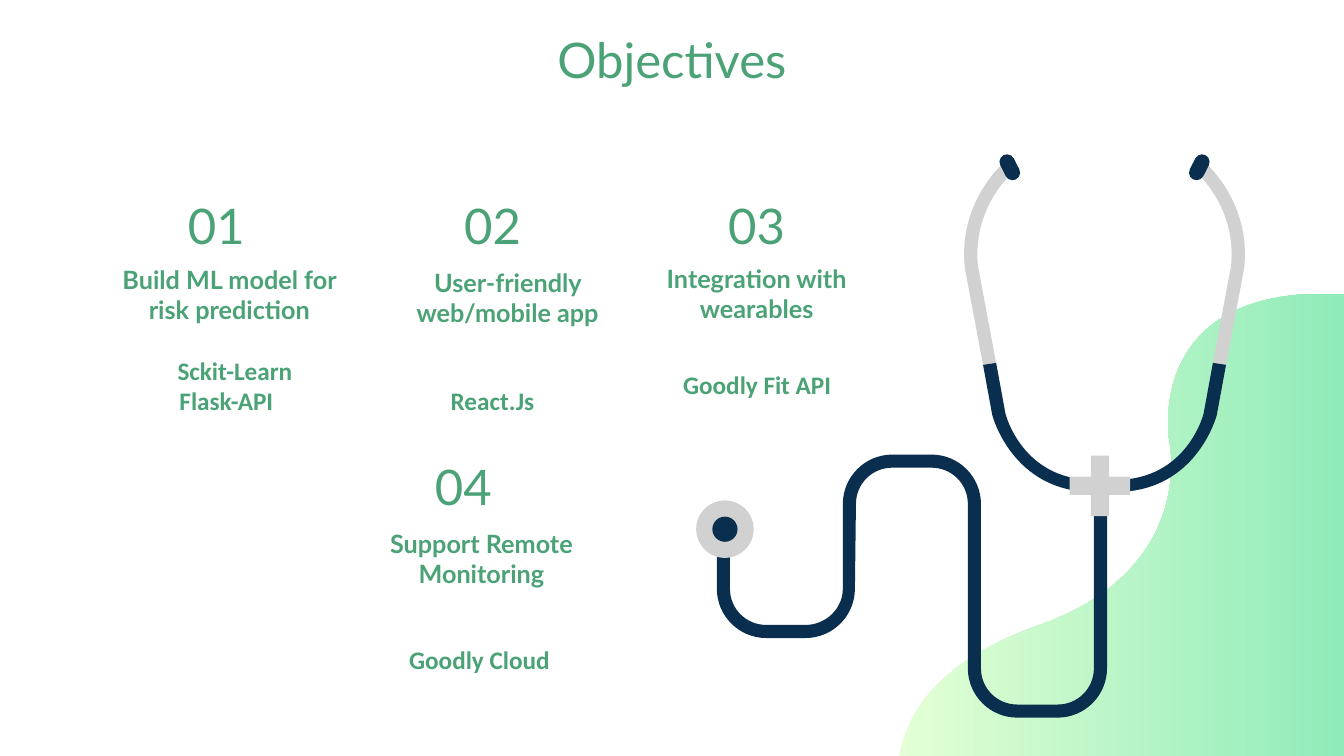
import lxml.etree
import pptx
import pptx.util
import pptx.dml.color
import pptx.enum.shapes
import pptx.enum.text
import pptx.oxml.ns

WIDE, HIGH = 13.33, 7.5
GREEN, NAVY, GREY = "4AA276", "0A2E4E", "D1D1D1"
PALE, MINT = "E3FFD5", "90EBBA"
HEAD = "Objectives"
COL, PAD = 2.45, 0.13

CARDS = [
    {"num": ("01", 0.92, 1.81),
     "goal": ("Build ML model for risk prediction", 1.05, 2.49, 1.01),
     "tool": ("Sckit-Learn\nFlask-API", 1.02, 3.39, 0, 0)},
    {"num": ("02", 3.66, 1.81),
     "goal": ("User-friendly web/mobile app", 3.81, 2.52, 0.68),
     "tool": ("React.Js", 3.66, 3.39, 0.3, 0)},
    {"num": ("03", 6.28, 1.81),
     "goal": ("Integration with wearables", 6.28, 2.48, 0.76),
     "tool": ("Goodly Fit API", 6.26, 3.29, 0.24, 0.05)},
    {"num": ("04", 3.37, 4.4),
     "goal": ("Support Remote Monitoring", 3.55, 5.11, 0.77),
     "tool": ("Goodly Cloud", 3.5, 6.01, 0.25, 0.06)},
]

WAVE = [(8.92, 7.5), (8.97, 7.18, 9.2, 6.59, 10.31, 6.2),
        (11.87, 5.65, 11.6, 4.39, 11.6, 4.39),
        (11.6, 4.39, 11.31, 2.81, 13.33, 2.92), (13.33, 7.5)]
ARM = [(10, 1.6), (9.99, 1.6, 9.98, 1.6, 9.96, 1.61),
       (9.94, 1.63, 9.5, 2.01, 9.57, 2.66), (9.75, 3.62), (9.88, 3.6),
       (9.7, 2.64), (9.64, 2.06, 10.04, 1.71, 10.05, 1.71),
       (10.07, 1.68, 10.07, 1.64, 10.05, 1.62),
       (10.04, 1.6, 10.02, 1.6, 10, 1.6)]
BEND = [(9.88, 3.6), (9.75, 3.62), (9.84, 4.11),
        (9.84, 4.12, 10.04, 4.88, 10.84, 4.88), (10.94, 4.88),
        (10.97, 4.88, 11, 4.85, 11, 4.81),
        (11, 4.78, 10.97, 4.75, 10.94, 4.75), (10.84, 4.76),
        (10.14, 4.76, 9.97, 4.11, 9.97, 4.09)]
HOSE = [(8.85, 4.51), (8.58, 4.51, 8.36, 4.73, 8.36, 5), (8.36, 5.84),
        (8.36, 6.04, 8.19, 6.2, 7.99, 6.2), (7.6, 6.2),
        (7.4, 6.2, 7.24, 6.04, 7.24, 5.84), (7.24, 5.01), (7.11, 5.01),
        (7.11, 5.84), (7.11, 6.11, 7.33, 6.33, 7.6, 6.33), (7.99, 6.33),
        (8.26, 6.33, 8.48, 6.11, 8.48, 5.84), (8.49, 5),
        (8.49, 4.8, 8.65, 4.64, 8.85, 4.64), (9.24, 4.64),
        (9.44, 4.64, 9.6, 4.8, 9.6, 5), (9.6, 6.63),
        (9.6, 6.9, 9.82, 7.12, 10.09, 7.12), (10.49, 7.12),
        (10.76, 7.12, 10.98, 6.9, 10.98, 6.63), (10.98, 4.88),
        (10.85, 4.88), (10.85, 6.63),
        (10.85, 6.83, 10.69, 6.99, 10.49, 6.99), (10.09, 6.99),
        (9.89, 6.99, 9.73, 6.83, 9.73, 6.63), (9.73, 5),
        (9.73, 4.73, 9.51, 4.51, 9.24, 4.51)]
AXIS = 10.955

inch = pptx.util.Inches
name = pptx.oxml.ns.qn
kinds = pptx.enum.shapes.MSO_SHAPE
deck = pptx.Presentation()
deck.slide_width, deck.slide_height = inch(WIDE), inch(HIGH)
slide = deck.slides.add_slide(deck.slide_layouts[5])
shapes = slide.shapes


def tint(code):
    return pptx.dml.color.RGBColor.from_string(code)


def paint(shape, code):
    shape.shadow.inherit = False
    shape.line.fill.background()
    shape.fill.solid()
    shape.fill.fore_color.rgb = tint(code)
    return shape


def curve(shape, parts):
    lines = iter(list(shape.element.iter(name("a:lnTo"))))
    for part in parts[1:]:
        group = [next(lines) for _ in range(len(part) // 2)]
        if len(group) == 3:
            bend = lxml.etree.Element(name("a:cubicBezTo"))
            group[0].addprevious(bend)
            for line in group:
                bend.append(line[0])
                line.getparent().remove(line)


def draw(parts, code, flip=False):
    dots = [(part[k], part[k + 1]) for part in parts
            for k in range(0, len(part), 2)]
    if flip:
        dots = [(2 * AXIS - x, y) for x, y in dots]
    dots = [(inch(x), inch(y)) for x, y in dots]
    pen = shapes.build_freeform(*dots[0], scale=1.0)
    pen.add_line_segments(dots[1:], close=True)
    shape = pen.convert_to_shape()
    curve(shape, parts)
    return paint(shape, code)


def place(kind, mid, size, code):
    (x, y), (w, h) = mid, size
    shape = shapes.add_shape(kind, inch(x - w / 2), inch(y - h / 2), inch(w), inch(h))
    return paint(shape, code)


def style(box, text, size, font, bold=False, drop=0, shift=0):
    frame = box.text_frame
    frame.text = text
    frame.word_wrap = True
    frame.auto_size = pptx.enum.text.MSO_AUTO_SIZE.NONE
    frame.margin_left = inch(PAD + shift)
    frame.margin_top = inch(PAD + drop)
    frame.margin_right = frame.margin_bottom = inch(PAD)
    for line in frame.paragraphs:
        line.alignment = pptx.enum.text.PP_ALIGN.CENTER
        for run in line.runs:
            run.font.size = pptx.util.Pt(size)
            run.font.name = font
            run.font.bold = bold
            run.font.color.rgb = tint(GREEN)
    return frame


def write(text, x, y, h, *look):
    box = shapes.add_textbox(inch(x), inch(y), inch(COL), inch(h))
    return style(box, text, *look)


wave = draw(WAVE, MINT)
wave.fill.gradient()
wave.fill.gradient_angle = 0
for stop, code, spot in zip(wave.fill.gradient_stops, (PALE, MINT), (0, 1)):
    stop.color.rgb = tint(code)
    stop.position = spot

title = shapes.title
title.left, title.top = inch(1.05), inch(0.29)
title.width, title.height = inch(11.23), inch(0.59)
style(title, HEAD, 35, "Lato")
title.text_frame.vertical_anchor = pptx.enum.text.MSO_ANCHOR.MIDDLE

for card in CARDS:
    write(*card["num"], 0.59, 35, "Lato")
    write(*card["goal"], 18, "Lato", True)
    text, x, y, drop, shift = card["tool"]
    frame = write(text, x, y, 0.89, 18, "Calibri", True, drop, shift)
    if len(frame.paragraphs) > 1:
        first = frame.paragraphs[0]._p.get_or_add_pPr()
        first.set("marL", str(inch(0.17)))

for flip in (True, False):
    side = 1 if flip else -1
    draw(ARM, GREY, flip)
    draw(BEND, NAVY, flip)
    cap = place(kinds.ROUNDED_RECTANGLE, (AXIS + side * 0.94, 1.66), (0.15, 0.27), NAVY)
    cap.adjustments[0] = 0.5
    cap.rotation = side * 27

draw(HOSE, NAVY)
cross = place(kinds.CROSS, (10.91, 4.82), (0.6, 0.6), GREY)
cross.adjustments[0] = 0.35
for size, code in ((0.57, GREY), (0.25, NAVY)):
    place(kinds.OVAL, (7.19, 5.25), (size, size), code)

deck.save("out.pptx")
